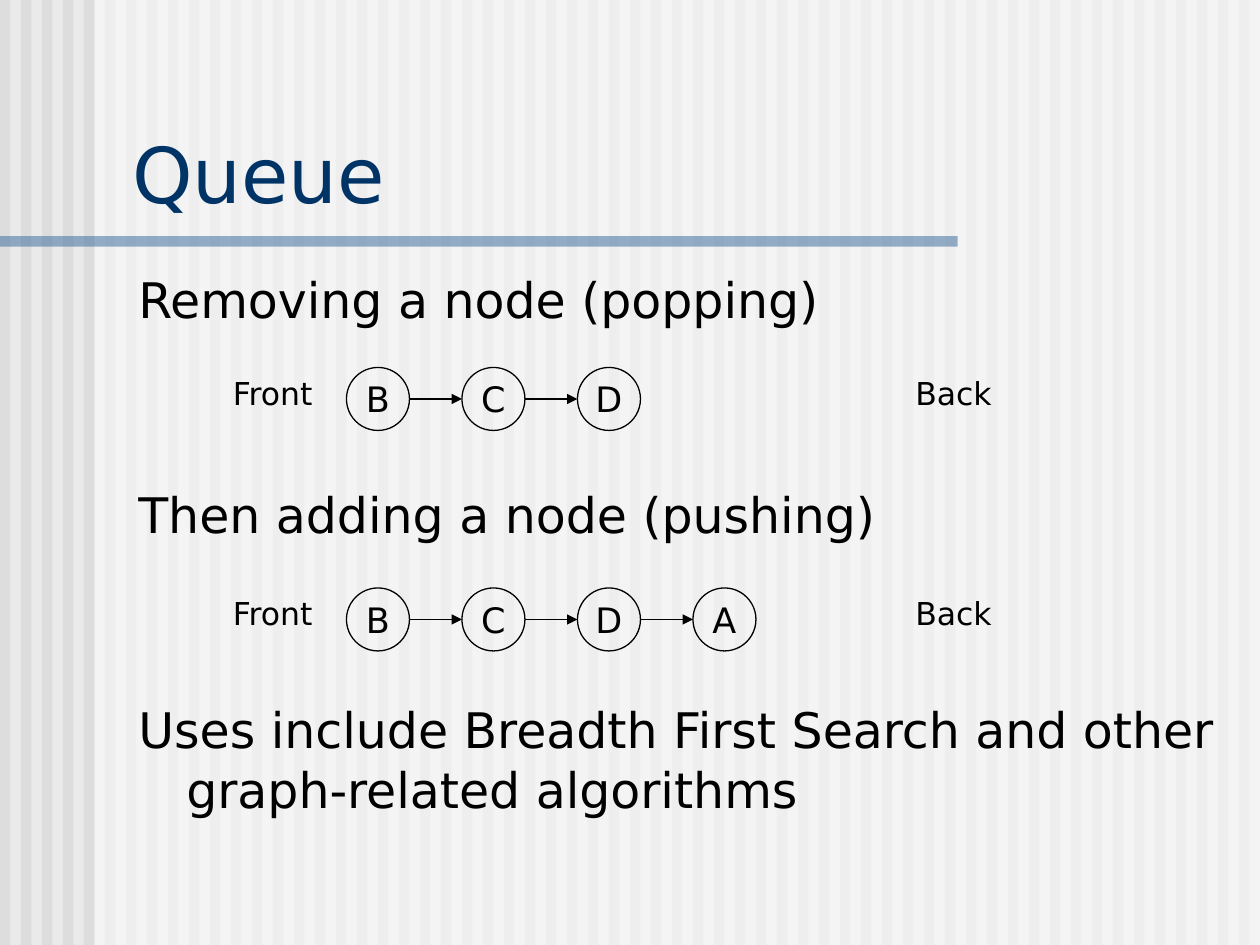
from itertools import pairwise

from pptx import Presentation
from pptx.dml.color import RGBColor
from pptx.enum.shapes import MSO_CONNECTOR, MSO_SHAPE
from pptx.enum.text import MSO_ANCHOR, PP_ALIGN
from pptx.oxml.ns import qn
from pptx.util import Inches, Pt
from lxml.etree import SubElement

# Grid of 120 columns by 90 rows, twelve to the inch
COLS, ROWS, PER_INCH = 120, 90, 12
NODE, NODE_STEP, FIRST_NODE = 6, 11, 33

FONT = "DejaVu Sans"
BACKGROUND = RGBColor(0xEA, 0xEA, 0xEA)
STRIPE = RGBColor(0xDD, 0xDD, 0xDD)
WHITE = RGBColor(0xFF, 0xFF, 0xFF)
BAND = RGBColor(0x33, 0x66, 0x99)
TITLE = RGBColor(0x00, 0x33, 0x66)
BLACK = RGBColor(0x00, 0x00, 0x00)


def grid(*units):
    return [Inches(u / PER_INCH) for u in units]


def write(sp, *lines, size, color=BLACK, align=PP_ALIGN.LEFT,
          anchor=MSO_ANCHOR.TOP, wrap=True, hanging=0, leading=None, gap=0):
    tf = sp.text_frame
    tf.word_wrap = wrap
    tf.vertical_anchor = anchor
    for i, line in enumerate(lines):
        p = tf.paragraphs[0] if i == 0 else tf.add_paragraph()
        p.alignment = align
        if hanging:
            pPr = p._p.get_or_add_pPr()
            pPr.set("marL", str(Inches(hanging)))
            pPr.set("indent", str(-Inches(hanging)))
        if leading:
            p.line_spacing = Pt(leading)
        if i:
            p.space_before = Pt(gap)
        r = p.add_run()
        r.text = line
        r.font.name, r.font.size = FONT, Pt(size)
        r.font.color.rgb = color


def add_text(s, box, *lines, **fmt):
    write(s.shapes.add_textbox(*grid(*box)), *lines, **fmt)


def add_block(s, box, color, alpha=None):
    sp = s.shapes.add_shape(MSO_SHAPE.RECTANGLE, *grid(*box))
    sp.shadow.inherit = False
    sp.fill.solid()
    sp.fill.fore_color.rgb = color
    sp.line.fill.background()
    if alpha is not None:
        clr = sp._element.spPr.find(qn("a:solidFill"))[0]
        SubElement(clr, qn("a:alpha")).set("val", str(alpha * 1000))


def add_node(s, col, row, label):
    sp = s.shapes.add_shape(MSO_SHAPE.OVAL, *grid(col, row, NODE, NODE))
    sp.shadow.inherit = False
    sp.fill.background()
    sp.line.color.rgb, sp.line.width = BLACK, Pt(0.75)
    write(sp, label, size=20, align=PP_ALIGN.CENTER,
          anchor=MSO_ANCHOR.MIDDLE, wrap=False)


def add_arrow(s, start, end, row):
    c = s.shapes.add_connector(MSO_CONNECTOR.STRAIGHT,
                               *grid(start, row, end, row))
    c.line.color.rgb, c.line.width = BLACK, Pt(0.75)
    SubElement(c.line._get_or_add_ln(), qn("a:tailEnd")).set("type", "triangle")
    SubElement(c._element.spPr, qn("a:effectLst"))


def add_queue(s, row, labels):
    cols = [FIRST_NODE + i * NODE_STEP for i in range(len(labels))]
    for col, label in zip(cols, labels):
        add_node(s, col, row, label)
    for a, b in pairwise(cols):
        add_arrow(s, a + NODE, b, row + NODE / 2)
    for col, name in ((21, "Front"), (86, "Back")):
        add_text(s, (col, row, 11, 4.8), name, size=18)


def add_backdrop(s):
    s.background.fill.solid()
    s.background.fill.fore_color.rgb = BACKGROUND
    for col in range(0, COLS, 2):
        add_block(s, (col, 0, 1, ROWS), STRIPE)
    add_block(s, (9, 0, COLS - 9, ROWS), WHITE, alpha=50)
    add_block(s, (0, 22.5, 0.76 * COLS, 1), BAND, alpha=50)


def main():
    prs = Presentation()
    prs.slide_width, prs.slide_height = grid(COLS, ROWS)
    s = prs.slides.add_slide(prs.slide_layouts[6])
    add_backdrop(s)

    # Title and body text
    add_text(s, (11.4, 2.5, 107, 18.9), "Queue", size=44, color=TITLE,
             anchor=MSO_ANCHOR.BOTTOM)
    add_text(s, (12, 25, 106.4, 55),
             "Removing a node (popping)",
             "Then adding a node (pushing)",
             "Uses include Breadth First Search and other "
             "graph-related algorithms",
             size=28, hanging=0.38, leading=34, gap=89)

    # Queue after popping, then after pushing
    add_queue(s, 35, "BCD")
    add_queue(s, 56, "BCDA")
    prs.save("out.pptx")


if __name__ == "__main__":
    main()
